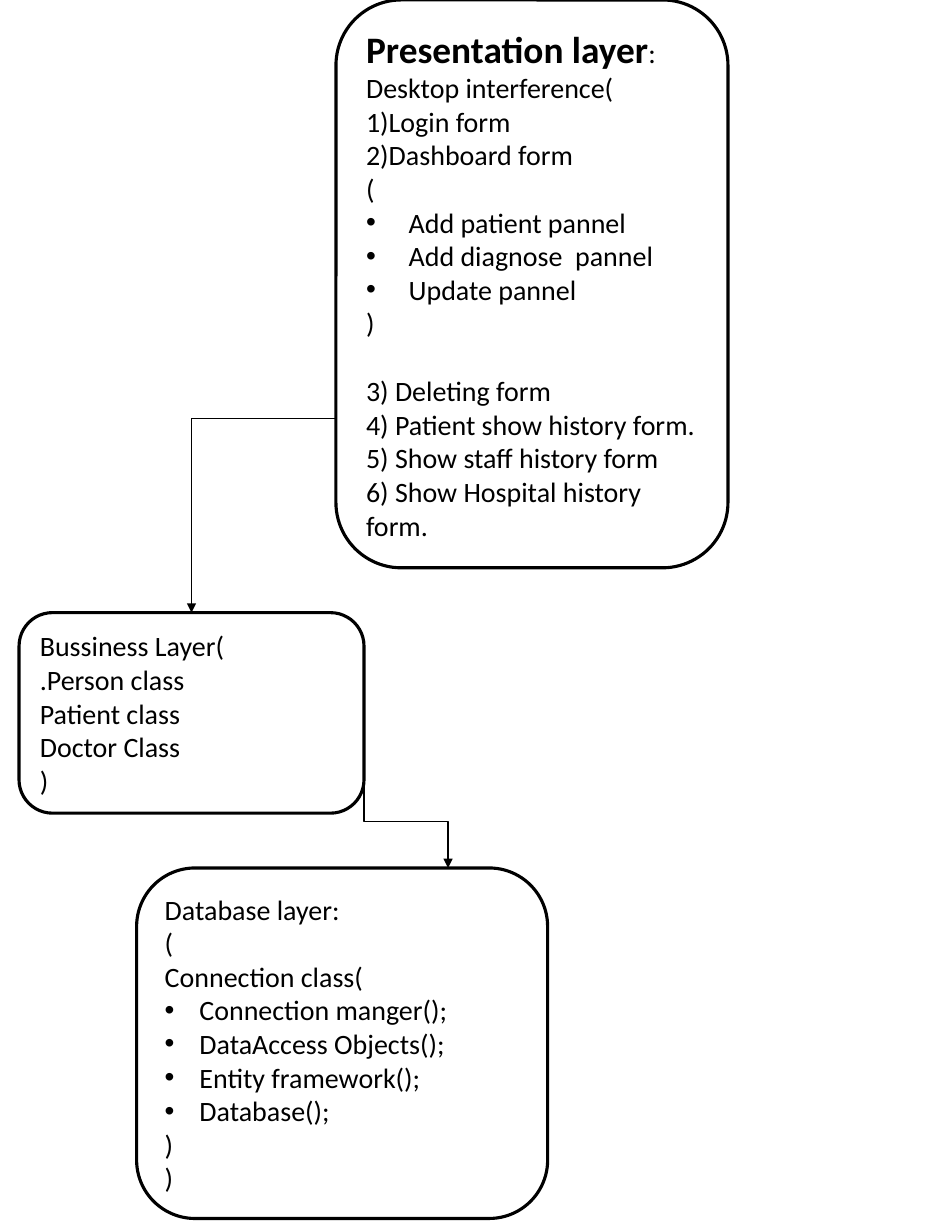
from lxml import etree
from pptx import Presentation
from pptx.dml.color import RGBColor
from pptx.enum.shapes import MSO_CONNECTOR, MSO_SHAPE
from pptx.enum.text import MSO_ANCHOR, MSO_AUTO_SIZE, PP_ALIGN
from pptx.oxml.ns import qn
from pptx.util import Inches, Pt

ELBOW = MSO_CONNECTOR.ELBOW
ROUND_RECT = MSO_SHAPE.ROUNDED_RECTANGLE
MIDDLE = MSO_ANCHOR.MIDDLE
LEFT = PP_ALIGN.LEFT
GROW = MSO_AUTO_SIZE.SHAPE_TO_FIT_TEXT

THEME = {
    "font": "Calibri",
    "ink": RGBColor(0x00, 0x00, 0x00),
    "paper": RGBColor(0xFF, 0xFF, 0xFF),
    "body": Pt(18),
    "heading": Pt(24),
    "border": Pt(2),
    "arrow": Pt(0.75),
    "section_gap": Pt(22),
}

PLAIN, HEADING, BULLET, SECTION = "plain", "heading", "bullet", "section"

LAYERS = [
    {
        "at": (0.17, 5.47, 3.08, 1.79),
        "indent": 0,
        "text": [
            (PLAIN, "Bussiness Layer("),
            (PLAIN, ".Person class"),
            (PLAIN, "Patient class"),
            (PLAIN, "Doctor Class"),
            (PLAIN, ")"),
        ],
    },
    {
        "at": (1.22, 7.75, 3.67, 3.13),
        "indent": 0.31,
        "text": [
            (PLAIN, "Database layer:\n("),
            (PLAIN, "Connection class("),
            (BULLET, "Connection manger();"),
            (BULLET, "DataAccess Objects();"),
            (BULLET, "Entity framework();"),
            (BULLET, "Database();"),
            (PLAIN, ")"),
            (PLAIN, ")"),
        ],
    },
    {
        "at": (3, 0, 3.5, 5.07),
        "indent": 0.38,
        "text": [
            (HEADING, "Presentation layer|:\nDesktop interference("),
            (PLAIN, "1)Login form"),
            (PLAIN, "2)Dashboard form"),
            (PLAIN, "("),
            (BULLET, "Add patient pannel"),
            (BULLET, "Add diagnose  pannel"),
            (BULLET, "Update pannel"),
            (PLAIN, ")"),
            (SECTION, "3) Deleting form\n4) Patient show history form.\n"
                      "5) Show staff history form\n6) Show Hospital history form."),
        ],
    },
]

ARROWS = [((3, 2), (1.71, 5.47)), ((3.25, 6.92), (4, 7.75))]


def add_text(p, text, size, bold=False):
    for i, line in enumerate(text.split("\n")):
        if i:
            p.add_line_break()
        r = p.add_run()
        r.text = line
        r.font.color.rgb = THEME["ink"]
        for name, value in {"name": THEME["font"], "size": size, "bold": bold}.items():
            setattr(r.font, name, value)


def add_bullet(p, indent):
    pPr = p._p.get_or_add_pPr()
    pPr.set("marL", str(Inches(indent)))
    pPr.set("indent", str(-Inches(indent)))
    etree.SubElement(pPr, qn("a:buFont")).set("typeface", "Arial")
    etree.SubElement(pPr, qn("a:buChar")).set("char", "•")


def add_layer(slide, layer):
    s = slide.shapes.add_shape(ROUND_RECT, *map(Inches, layer["at"]))
    s.shadow.inherit = False
    s.fill.solid()
    s.fill.fore_color.rgb = THEME["paper"]
    s.line.color.rgb = THEME["ink"]
    s.line.width = THEME["border"]
    tf = s.text_frame
    for name, value in {"word_wrap": True, "vertical_anchor": MIDDLE, "auto_size": GROW}.items():
        setattr(tf, name, value)
    for i, (kind, text) in enumerate(layer["text"]):
        p = tf.add_paragraph() if i else tf.paragraphs[0]
        p.alignment = LEFT
        if kind == HEADING:
            title, text = text.split("|")
            add_text(p, title, THEME["heading"], bold=True)
        elif kind == SECTION:
            p.space_before = THEME["section_gap"]
        elif kind == BULLET:
            add_bullet(p, layer["indent"])
        add_text(p, text, THEME["body"])


def add_arrow(slide, start, end):
    (x1, y1), (x2, y2) = start, end
    cx, cy = (x1 + x2) / 2, (y1 + y2) / 2
    half_w, half_h = (y2 - y1) / 2, abs(x2 - x1) / 2
    rightward = x2 > x1
    if rightward:
        half_w = -half_w
    ends = (cx - half_w, cy - half_h, cx + half_w, cy + half_h)
    c = slide.shapes.add_connector(ELBOW, *map(Inches, ends))
    c.line.color.rgb = THEME["ink"]
    c.line.width = THEME["arrow"]
    spPr = c._element.spPr
    spPr.find(qn("a:xfrm")).set("rot", str((270 if rightward else 90) * 60000))
    etree.SubElement(spPr.find(qn("a:ln")), qn("a:tailEnd")).set("type", "triangle")
    etree.SubElement(spPr, qn("a:effectLst"))


def main():
    prs = Presentation()
    prs.slide_width, prs.slide_height = Inches(8.5), Inches(11)
    slide = prs.slides.add_slide(prs.slide_layouts[6])
    for layer in LAYERS:
        add_layer(slide, layer)
    for start, end in ARROWS:
        add_arrow(slide, start, end)
    prs.save("out.pptx")


if __name__ == "__main__":
    main()
